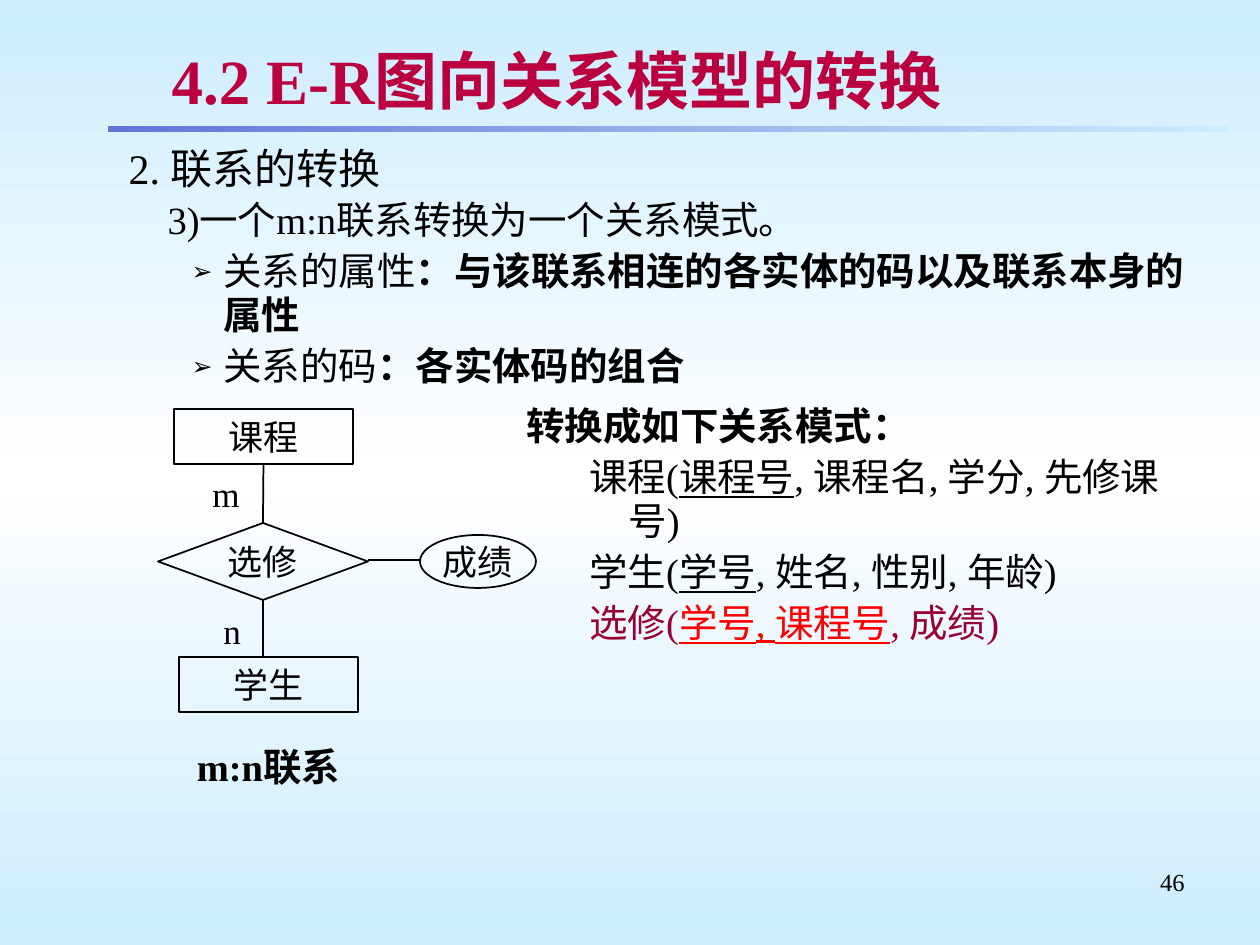
import copy

import pptx
import pptx.dml.color
import pptx.enum.shapes
import pptx.enum.text
import pptx.oxml
import pptx.oxml.ns
import pptx.util

SCALE = 914400 / 126  # EMU per px
SERIF = "Times New Roman"
BLACK, CRIMSON, PLUM, RED = "000000", "BA003E", "990033", "FF0000"
SKY, WHITE, INDIGO = "CCECFF", "FFFFFF", "5F76D7"
SHAPE = pptx.enum.shapes.MSO_SHAPE
ALIGN = pptx.enum.text.PP_ALIGN
ANCHOR = pptx.enum.text.MSO_ANCHOR


def px(length):
    return pptx.util.Emu(round(length * SCALE))


def color(hex_string):
    return pptx.dml.color.RGBColor.from_string(hex_string)


def element(tag, **attributes):
    node = pptx.oxml.parse_xml(f"<a:{tag} {pptx.oxml.ns.nsdecls('a')}/>")
    for name, value in attributes.items():
        node.set(name, str(value))
    return node


def place(shape, left, top, width, height):
    shape.left, shape.top = px(left), px(top)
    shape.width, shape.height = px(width), px(height)


def style(run, size, fill=BLACK, bold=False, underline=False, font=SERIF):
    run.font.name, run.font.size = font, pptx.util.Pt(size)
    run.font.bold, run.font.underline = bold, underline
    run.font.color.rgb = color(fill)


def add_runs(paragraph, size, parts):
    """Each part is (text, style options)."""
    for text, options in parts:
        run = paragraph.add_run()
        run.text = text
        style(run, size, **options)


def space(paragraph, margin, indent, bullet=None, before=4.1, line=0.95):
    paragraph.space_before = pptx.util.Pt(before)
    paragraph.line_spacing = line
    properties = paragraph._p.get_or_add_pPr()
    properties.set("marL", str(px(margin)))
    properties.set("indent", str(px(indent)))
    if bullet:
        properties.append(element("buSzPct", val=65000))
        properties.append(element("buChar", char=bullet))
    else:
        properties.append(element("buNone"))


def fill_list(frame, rows):
    """Each row is (level, size, spacing options, parts)."""
    frame.word_wrap = True
    frame.auto_size = pptx.enum.text.MSO_AUTO_SIZE.NONE
    for number, (level, size, spacing, parts) in enumerate(rows):
        paragraph = frame.add_paragraph() if number else frame.paragraphs[0]
        paragraph.level = level
        space(paragraph, **spacing)
        add_runs(paragraph, size, parts)


def add_label(slide, box, text, size, align=ALIGN.LEFT, bold=False):
    label = slide.shapes.add_textbox(*map(px, box)).text_frame
    label.word_wrap = True
    label.text = text
    label.paragraphs[0].alignment = align
    style(label.paragraphs[0].runs[0], size, bold=bold)


def paint_background(slide):
    fill = slide.background.fill
    fill.gradient()
    fill.gradient_angle = 90
    for stop in fill.gradient_stops:
        stop.color.rgb = color(SKY)
    first = next(slide.element.iter(pptx.oxml.ns.qn("a:gs")))
    first.addnext(copy.deepcopy(first))
    middle = fill.gradient_stops[1]
    middle.position = 0.5
    middle.color.rgb = color(WHITE)


def add_heading(slide, left, top, width, height):
    title = slide.shapes.title
    place(title, left, top, width, height)
    frame = title.text_frame
    frame.text = "4.2 E-R图向关系模型的转换"
    frame.auto_size = pptx.enum.text.MSO_AUTO_SIZE.NONE
    frame.vertical_anchor = ANCHOR.MIDDLE
    frame.margin_top = frame.margin_bottom = px(5)
    frame.paragraphs[0].alignment = ALIGN.LEFT
    run = frame.paragraphs[0].runs[0]
    style(run, 36, CRIMSON, bold=True)
    # Soft text shadow
    shadow = element("outerShdw", dist=25400, dir=2700000)
    shadow.append(element("srgbClr", val="C0C0C0"))
    effects = element("effectLst")
    effects.append(shadow)
    run.font._element.find(pptx.oxml.ns.qn("a:solidFill")).addnext(effects)

    # Fading rule under the title
    rule = slide.shapes.add_shape(
        SHAPE.RECTANGLE, px(left - 51), px(top + 89), px(1120), px(6))
    rule.shadow.inherit = False
    rule.line.fill.background()
    rule.fill.gradient()
    rule.fill.gradient_angle = 0
    for stop, tone in zip(rule.fill.gradient_stops, (INDIGO, SKY)):
        stop.color.rgb = color(tone)


def add_rules(slide, left, top, width, height):
    body = slide.placeholders[1]
    place(body, left, top, width, height)
    bullet = dict(margin=158, indent=-32, bullet="➢")
    strong = dict(bold=True)
    fill_list(body.text_frame, [
        (1, 24, dict(margin=102, indent=-39, before=4.5, line=1.0),
         [("2. 联系的转换", {})]),
        (1, 22, dict(margin=102, indent=0),
         [("3)一个m:n联系转换为一个关系模式。", {})]),
        (2, 22, bullet, [("关系的属性", {}),
                         ("：与该联系相连的各实体的码以及联系本身的属性", strong)]),
        (2, 22, bullet, [("关系的码", {}), ("：各实体码的组合", strong)]),
    ])


def add_schemas(slide, left, top, width, height):
    box = slide.shapes.add_textbox(*map(px, (left, top, width, height)))
    relation = dict(margin=102, indent=-39)
    key, plum = dict(underline=True), dict(fill=PLUM)
    fill_list(box.text_frame, [
        (0, 22, dict(margin=48, indent=-48),
         [("转换成如下关系模式：", dict(bold=True))]),
        (1, 22, relation, [("课程(", {}), ("课程号", key),
                           (", 课程名, 学分, 先修课号)", {})]),
        (1, 22, relation, [("学生(", {}), ("学号", key),
                           (", 姓名, 性别, 年龄)", {})]),
        (1, 22, relation, [("选修(", plum),
                           ("学号, 课程号", dict(fill=RED, underline=True)),
                           (", 成绩)", plum)]),
    ])


def add_node(slide, kind, box, text, font=SERIF):
    node = slide.shapes.add_shape(kind, *map(px, box))
    node.shadow.inherit = False
    node.fill.background()
    node.line.color.rgb = color(BLACK)
    node.line.width = pptx.util.Pt(1)
    frame = node.text_frame
    frame.word_wrap = False
    frame.vertical_anchor = ANCHOR.MIDDLE
    frame.text = text
    frame.paragraphs[0].alignment = ALIGN.CENTER
    style(frame.paragraphs[0].runs[0], 20, font=font)
    return node


def add_link(slide, x1, y1, x2, y2):
    link = slide.shapes.add_connector(
        pptx.enum.shapes.MSO_CONNECTOR.STRAIGHT, *map(px, (x1, y1, x2, y2)))
    link.line.color.rgb = color(BLACK)
    link.line.width = pptx.util.Pt(1)
    link._element.spPr.append(element("effectLst"))
    return link


def add_er_diagram(slide, left, top):
    # Entities, relationship and its attribute
    course = add_node(slide, SHAPE.RECTANGLE, (left + 16, top, 179, 55), "课程")
    choice = add_node(slide, SHAPE.DIAMOND, (left, top + 114, 210, 77), "选修")
    add_node(slide, SHAPE.RECTANGLE, (left + 21, top + 248, 179, 55), "学生")
    add_node(slide, SHAPE.OVAL, (left + 262, top + 126, 116, 53), "成绩", "Arial")

    # Links
    axis = left + 105
    upper = add_link(slide, axis, top + 114, axis, top + 55)
    upper.begin_connect(choice, 0)
    upper.end_connect(course, 2)
    lower = add_link(slide, axis, top + 191, axis, top + 248)
    lower.begin_connect(choice, 2)
    add_link(slide, left + 262, top + 151, left + 210, top + 151)

    # Cardinalities and caption
    add_label(slide, (left + 42, top + 57, 53, 55), "m", 20)
    add_label(slide, (left + 53, top + 194, 53, 55), "n", 20)
    add_label(slide, (left + 21, top + 328, 179, 59), "m:n联系", 22,
              ALIGN.CENTER, bold=True)


def main():
    deck = pptx.Presentation()
    deck.slide_width, deck.slide_height = px(1260), px(945)
    slide = deck.slides.add_slide(deck.slide_layouts[1])
    paint_background(slide)
    add_heading(slide, 159, 37, 1038, 84)
    add_rules(slide, 53, 136, 1166, 262)
    add_er_diagram(slide, 158, 409)
    add_schemas(slide, 514, 399, 703, 378)
    add_label(slide, (903, 861, 294, 66), "46", 14, ALIGN.RIGHT)
    deck.save("out.pptx")


if __name__ == "__main__":
    main()
